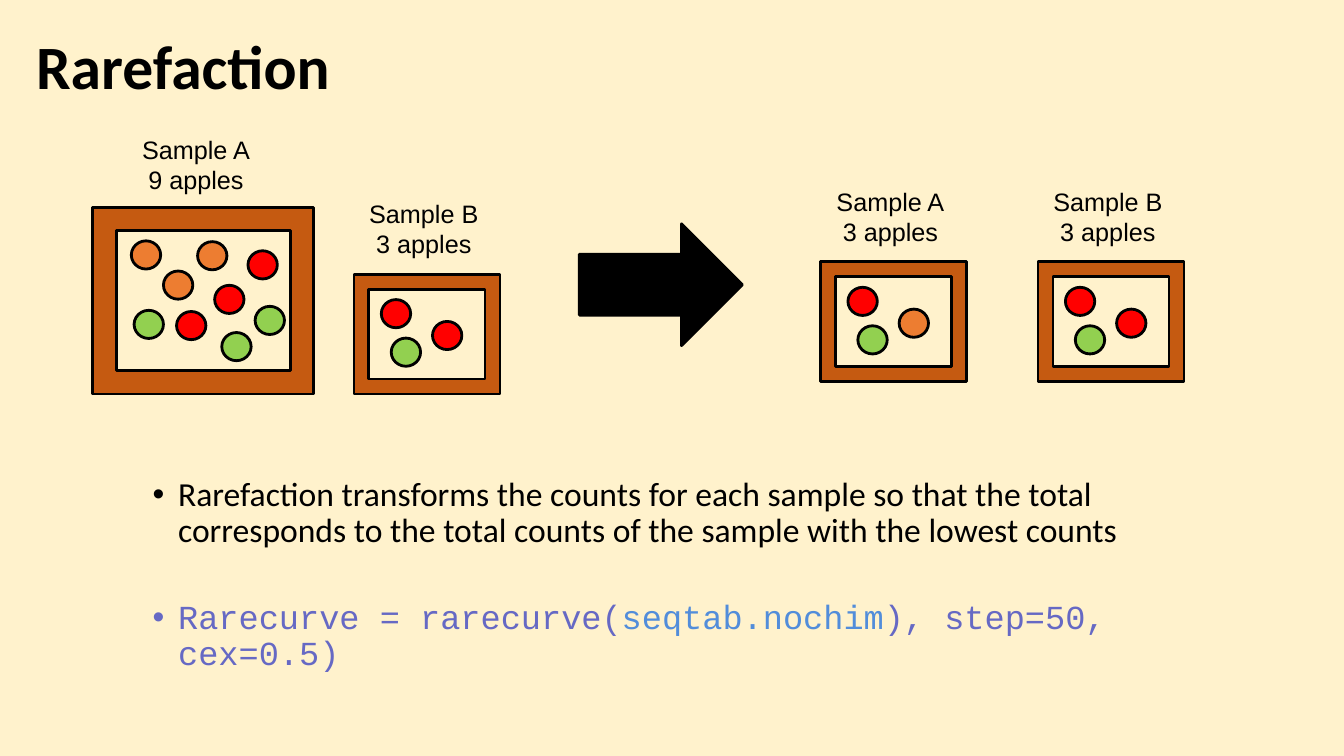
import pptx
import pptx.util
import pptx.dml.color
import pptx.enum.shapes
import pptx.enum.text
import lxml.etree

Cm, Pt = pptx.util.Cm, pptx.util.Pt
KIND = pptx.enum.shapes.MSO_SHAPE
ALIGN = pptx.enum.text.PP_ALIGN
ANCHOR = pptx.enum.text.MSO_ANCHOR

BLACK, WOOD = "000000", "C55A11"
RED, ORANGE, GREEN = "FF0000", "ED7D31", "92D050"
VIOLET, BLUE = "6669C4", "528DDA"
SMALL = (3.68, 3.02)
SPOTS = [(0.69, 0.64), (1.98, 1.19), (0.94, 1.61)]


def paint(fill, color):
    fill.solid()
    fill.fore_color.rgb = pptx.dml.color.RGBColor.from_string(color)


def add_part(slide, kind, box, color):
    part = slide.shapes.add_shape(kind, *map(Cm, box))
    part.shadow.inherit = False
    paint(part.fill, color)
    paint(part.line.fill, BLACK)
    part.line.width = Pt(2)
    return part


def add_frame(slide, box, anchor=ANCHOR.TOP):
    frame = slide.shapes.add_textbox(*map(Cm, box)).text_frame
    frame.word_wrap = True
    frame.vertical_anchor = anchor
    return frame


def add_run(para, text, size, font, color=BLACK, bold=False):
    run = para.add_run()
    run.text = text
    run.font.size = Pt(size)
    run.font.name = font
    run.font.bold = bold
    paint(run.font.fill, color)


def add_bullet(para, color):
    props = para._p.get_or_add_pPr()
    props.set("marL", str(Cm(1.9)))
    props.set("indent", str(-Cm(0.64)))
    space = pptx.oxml.ns.qn
    tint = lxml.etree.SubElement(props, space("a:buClr"))
    lxml.etree.SubElement(tint, space("a:srgbClr"), val=color)
    lxml.etree.SubElement(props, space("a:buFont"), typeface="Arial")
    lxml.etree.SubElement(props, space("a:buChar"), char="•")


def add_title(slide, box):
    para = add_frame(slide, box, ANCHOR.MIDDLE).paragraphs[0]
    para.line_spacing = 0.9
    add_run(para, "Rarefaction", 44, "Calibri", bold=True)


def add_crate(slide, box, name, apples, shift=(-0.08, -2.04)):
    """Draw a crate with its apples and the label above it."""
    left, top, wide, high = box
    add_part(slide, KIND.FRAME, box, WOOD)
    for (x, y), color in apples:
        add_part(slide, KIND.OVAL, (left + x, top + y, 0.74, 0.71), color)

    label = add_frame(slide, (left + shift[0], top + shift[1], 3.68, 1.8))
    lines = [name, f"{len(apples)} apples"]
    for i, line in enumerate(lines):
        para = label.add_paragraph() if i else label.paragraphs[0]
        para.alignment = ALIGN.CENTER
        add_run(para, line, 18, "Arial")


def add_notes(slide, box):
    frame = add_frame(slide, box)
    # Explanation
    para = frame.paragraphs[0]
    para.line_spacing = 0.9
    add_bullet(para, BLACK)
    add_run(para, "Rarefaction transforms the counts for each sample so that "
            "the total corresponds to the total counts of the sample with "
            "the lowest counts", 24, "Calibri")
    # Code line
    para = frame.add_paragraph()
    para.line_spacing = 0.9
    para.space_before = Pt(36)
    add_bullet(para, VIOLET)
    for text, color in [("Rarecurve = rarecurve(", VIOLET),
                        ("seqtab.nochim", BLUE),
                        ("), step=50, cex=0.5)", VIOLET)]:
        add_run(para, text, 24, "Courier New", color)


def main():
    deck = pptx.Presentation()
    deck.slide_width, deck.slide_height = Cm(33.87), Cm(19.05)
    slide = deck.slides.add_slide(deck.slide_layouts[6])
    paint(slide.background.fill, "FFF2CC")

    add_title(slide, (0.66, 0.66, 29.21, 2.18))
    add_notes(slide, (2.34, 11.91, 29.21, 6.17))

    # Samples before rarefaction
    many = [((1.78, 1.6), ORANGE), ((2.64, 0.86), ORANGE),
            ((0.97, 0.84), ORANGE), ((2.11, 2.62), RED),
            ((3.91, 1.09), RED), ((3.07, 1.96), RED),
            ((4.09, 2.49), GREEN), ((1.04, 2.59), GREEN),
            ((3.25, 3.15), GREEN)]
    few = list(zip(SPOTS, (RED, RED, GREEN)))
    add_crate(slide, (2.34, 5.23, 5.56, 4.7), "Sample A", many, (0.76, -1.98))
    add_crate(slide, (8.92, 6.91, *SMALL), "Sample B", few)

    add_part(slide, KIND.RIGHT_ARROW, (14.6, 5.64, 4.11, 3.07), BLACK)

    # Samples after rarefaction
    drawn = list(zip(SPOTS, (RED, ORANGE, GREEN)))
    add_crate(slide, (20.68, 6.6, *SMALL), "Sample A", drawn)
    add_crate(slide, (26.16, 6.6, *SMALL), "Sample B", few)

    deck.save("out.pptx")


if __name__ == "__main__":
    main()
